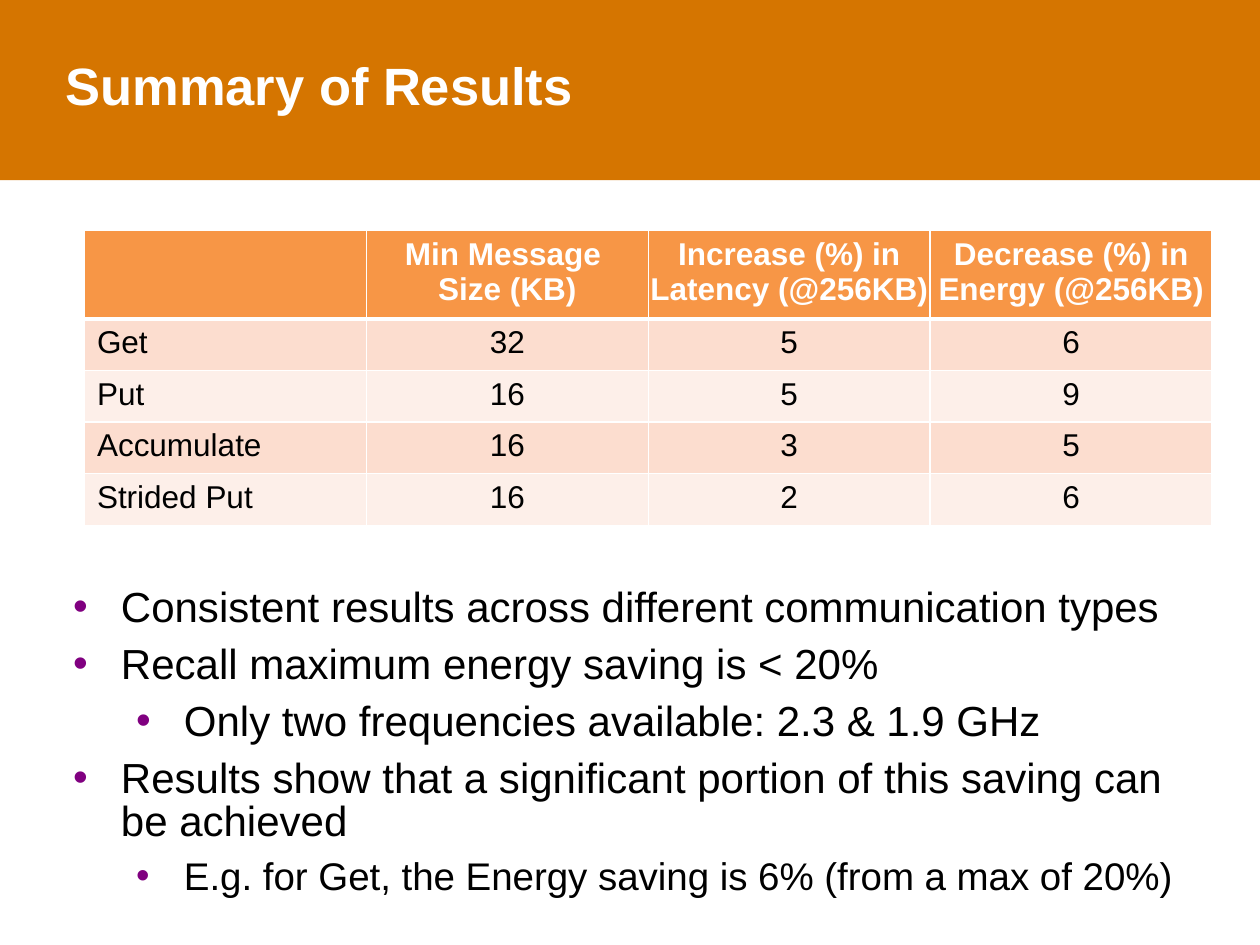
from dataclasses import dataclass

import pptx
import pptx.dml.color
import pptx.enum.shapes
import pptx.enum.text
import pptx.oxml
import pptx.oxml.ns
import pptx.util

Inches = pptx.util.Inches
Pt = pptx.util.Pt
RGBColor = pptx.dml.color.RGBColor
Align = pptx.enum.text.PP_ALIGN

WHITE = RGBColor(0xFF, 0xFF, 0xFF)
BLACK = RGBColor(0x00, 0x00, 0x00)
BANNER = RGBColor(0xD5, 0x75, 0x00)
HEADER = RGBColor(0xF7, 0x96, 0x46)
BANDS = (RGBColor(0xFC, 0xDD, 0xCF), RGBColor(0xFD, 0xEF, 0xE9))
PURPLE = RGBColor(0x80, 0x00, 0x80)
FONT = "Arial"


@dataclass(frozen=True)
class Point:
    text: str
    level: int = 0
    size: int = 24


POINTS = (
    Point("Consistent results across different communication types"),
    Point("Recall maximum energy saving is < 20%"),
    Point("Only two frequencies available: 2.3 & 1.9 GHz", 1),
    Point("Results show that a significant portion of this saving can be achieved"),
    Point("E.g. for Get, the Energy saving is 6% (from a max of 20%)", 1, 22),
)

ROWS = (
    ("", "Min Message \nSize (KB)", "Increase (%) in Latency (@256KB)",
     "Decrease (%) in Energy (@256KB)"),
    ("Get", "32", "5", "6"),
    ("Put", "16", "5", "9"),
    ("Accumulate", "16", "3", "5"),
    ("Strided Put", "16", "2", "6"),
)


def add_run(para, text: str, size: int, color: RGBColor, bold: bool = False) -> None:
    run = para.add_run()
    run.text = text
    run.font.name = FONT
    run.font.size = Pt(size)
    run.font.bold = bold
    run.font.color.rgb = color


def add_box(slide, left: float, top: float, width: float, height: float):
    frame = slide.shapes.add_textbox(
        Inches(left), Inches(top), Inches(width), Inches(height)).text_frame
    frame.word_wrap = True
    frame.margin_left = frame.margin_right = 0
    frame.margin_top = frame.margin_bottom = 0
    return frame


def add_edges(cell, base: int) -> None:
    props = cell._tc.get_or_add_tcPr()
    for side, width in (("L", 1), ("R", 1), ("T", 1), ("B", base)):
        props.append(pptx.oxml.parse_xml(
            f'<a:ln{side} {pptx.oxml.ns.nsdecls("a")} w="{Pt(width)}">'
            f'<a:solidFill><a:srgbClr val="{WHITE}"/></a:solidFill></a:ln{side}>'))


def fill_cell(cell, text: str, row: int, col: int) -> None:
    head = row == 0
    add_edges(cell, 3 if head else 1)
    cell.fill.solid()
    cell.fill.fore_color.rgb = HEADER if head else BANDS[(row - 1) % 2]
    if head:
        cell.margin_left = cell.margin_right = 0
    para = cell.text_frame.paragraphs[0]
    para.alignment = Align.CENTER if head or col else Align.LEFT
    para.font.size = Pt(18)
    for index, line in enumerate(text.split("\n")):
        if index:
            para.add_line_break()
        if line:
            add_run(para, line, 18, WHITE if head else BLACK, head)


def add_grid(slide) -> None:
    grid = slide.shapes.add_table(
        len(ROWS), len(ROWS[0]), Inches(0.67), Inches(1.83),
        Inches(8.95), Inches(2.28)).table
    for row, texts in enumerate(ROWS):
        grid.rows[row].height = Inches(0.41 if row else 0.65)
        for col, text in enumerate(texts):
            fill_cell(grid.cell(row, col), text, row, col)


def add_point(para, point: Point, first: bool) -> None:
    props = para._p.get_or_add_pPr()
    props.set("marL", str(Inches(0.38 + 0.5 * point.level)))
    props.set("indent", str(Inches(-0.38)))
    space = pptx.oxml.ns.nsdecls("a")
    props.append(pptx.oxml.parse_xml(
        f'<a:buClr {space}><a:srgbClr val="{PURPLE}"/></a:buClr>'))
    props.append(pptx.oxml.parse_xml(f'<a:buFont {space} typeface="{FONT}"/>'))
    props.append(pptx.oxml.parse_xml(f'<a:buChar {space} char="•"/>'))
    para.level = point.level
    para.line_spacing = 0.85
    if not first:
        para.space_before = Pt(8)
    add_run(para, point.text, point.size, BLACK)


def main() -> None:
    deck = pptx.Presentation()
    deck.slide_width, deck.slide_height = Inches(10), Inches(7.5)
    slide = deck.slides.add_slide(deck.slide_layouts[6])

    banner = slide.shapes.add_shape(
        pptx.enum.shapes.MSO_SHAPE.RECTANGLE, 0, 0, Inches(10), Inches(1.43))
    banner.shadow.inherit = False
    banner.fill.solid()
    banner.fill.fore_color.rgb = BANNER
    banner.line.fill.background()

    title = add_box(slide, 0.52, 0.5, 8.97, 1.08).paragraphs[0]
    title.line_spacing = 0.85
    add_run(title, "Summary of Results", 30, WHITE, True)

    add_grid(slide)

    body = add_box(slide, 0.58, 4.67, 8.95, 2.58)
    for index, point in enumerate(POINTS):
        para = body.add_paragraph() if index else body.paragraphs[0]
        add_point(para, point, index == 0)

    deck.save("out.pptx")


if __name__ == "__main__":
    main()
